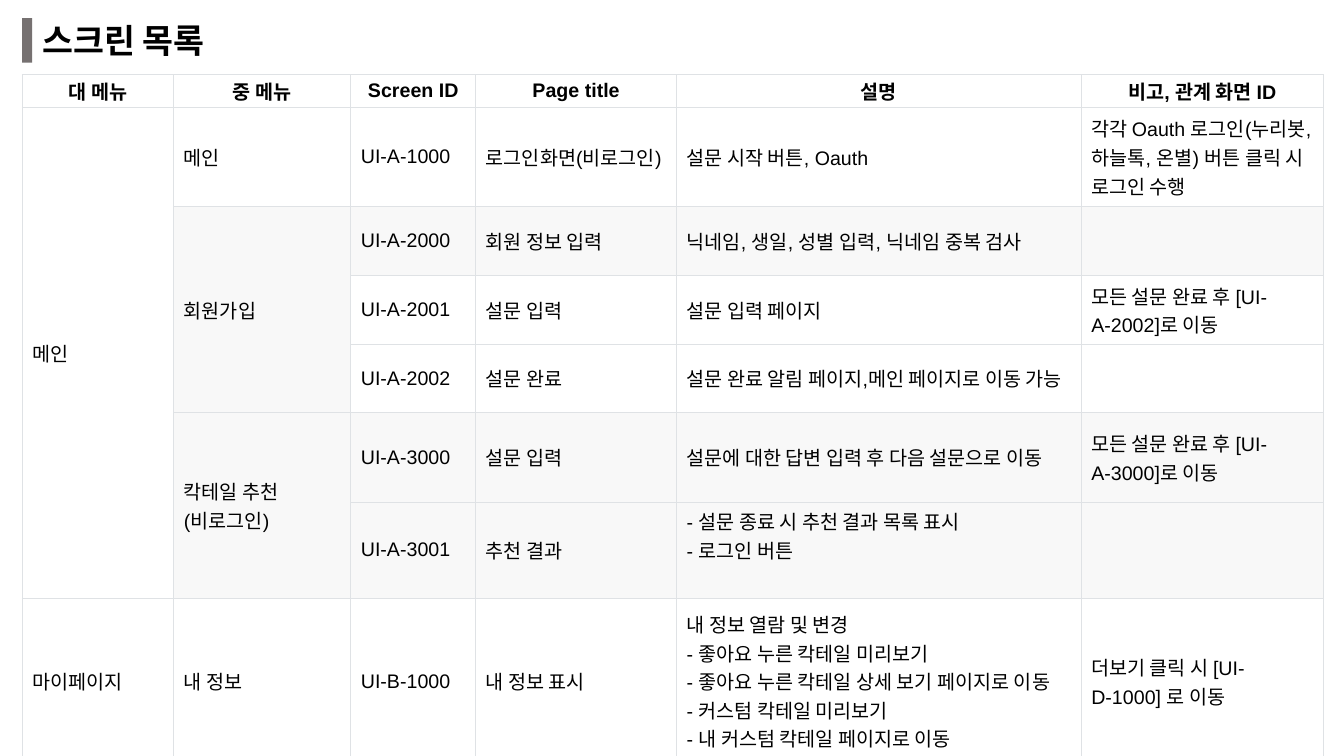
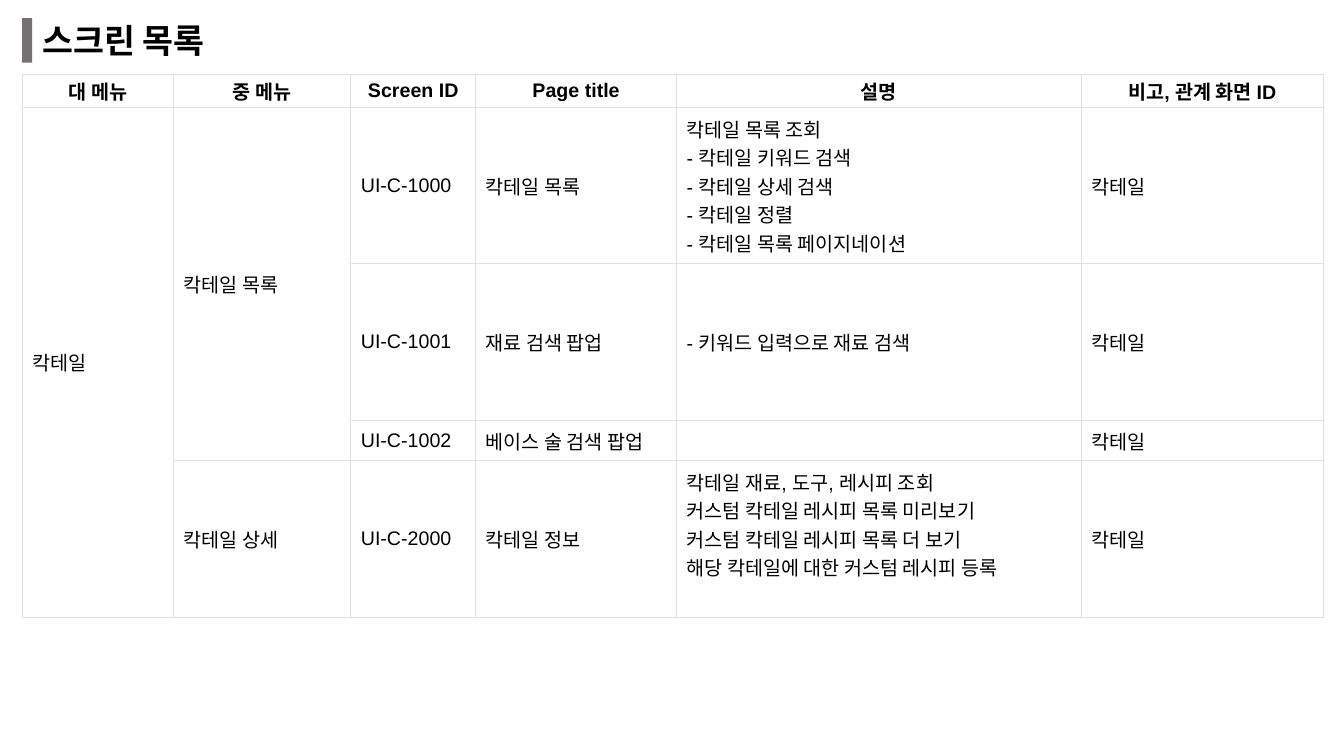
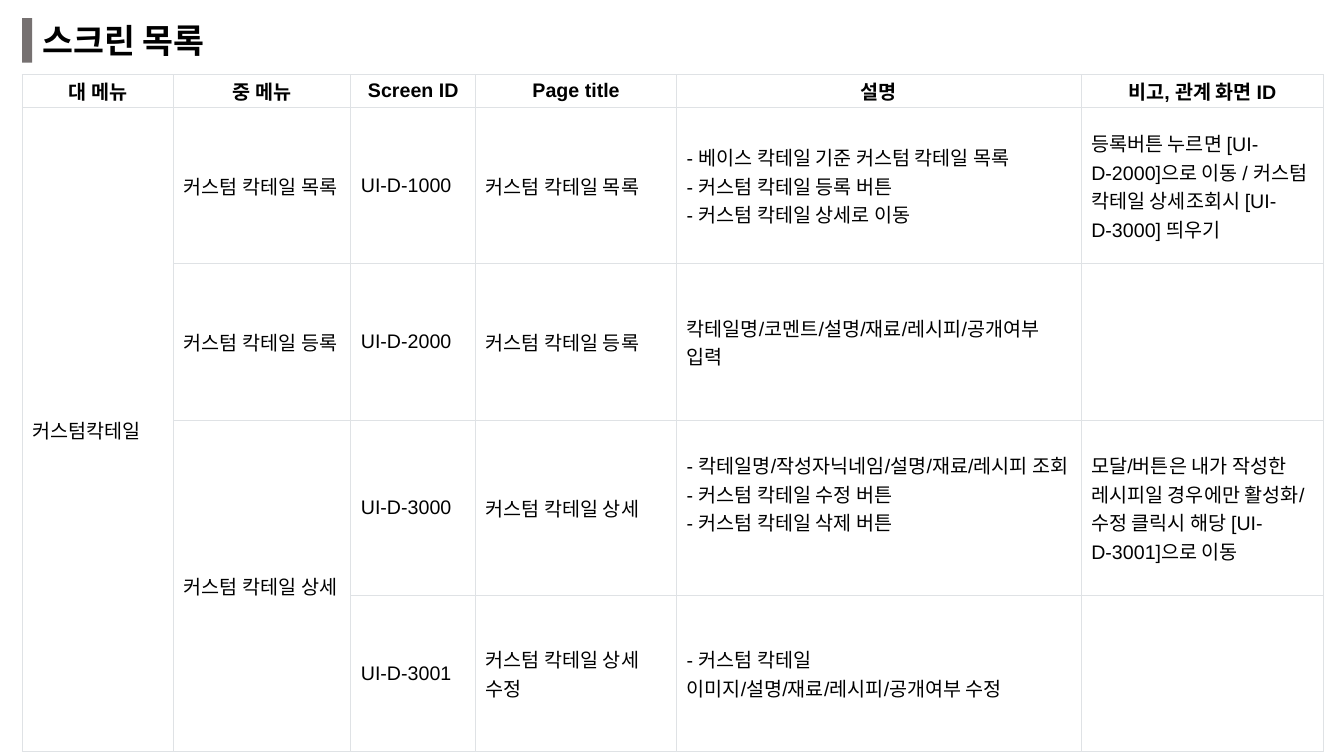
from dataclasses import dataclass
from typing import Optional

from lxml.etree import SubElement
from pptx import Presentation
from pptx.dml.color import RGBColor
from pptx.enum.shapes import MSO_SHAPE as Preset
from pptx.enum.text import MSO_ANCHOR as Anchor, MSO_AUTO_SIZE as AutoSize, PP_ALIGN as Align
from pptx.oxml.ns import qn
from pptx.util import Cm, Pt

FONT = "Arial"
INK, WHITE, SHADE, BORDER, ACCENT = "000000", "FFFFFF", "F8F8F8", "DFE2E5", "767171"
TITLE = "스크린 목록"
HEADINGS = ("대 메뉴", "중 메뉴", "Screen ID", "Page title", "설명", "비고, 관계 화면 ID")
COLUMN_WIDTHS = (3.82, 4.46, 3.15, 5.06, 10.2, 6.1)
LEFT, TABLE_TOP, HEADER_HEIGHT = 0.56, 1.88, 0.83
LINE_HEIGHT = 0.72
DESCRIPTION = HEADINGS.index("설명")


@dataclass(frozen=True)
class Screen:
    """One table row; None continues the cell above."""
    height: float
    cells: tuple[Optional[str], ...]
    shaded: bool = False
    raised: bool = False  # description sits half a line above the middle


MAIN_SCREENS = (
    Screen(2.49, ("메인", "메인", "UI-A-1000", "로그인화면(비로그인)", "설문 시작 버튼, Oauth",
                  "각각 Oauth 로그인(누리봇, 하늘톡, 온별) 버튼 클릭 시 로그인 수행")),
    Screen(1.74, (None, "회원가입", "UI-A-2000", "회원 정보 입력",
                  "닉네임, 생일, 성별 입력, 닉네임 중복 검사", ""), shaded=True),
    Screen(1.73, (None, None, "UI-A-2001", "설문 입력", "설문 입력 페이지",
                  "모든 설문 완료 후 [UI-A-2002]로 이동")),
    Screen(1.73, (None, None, "UI-A-2002", "설문 완료",
                  "설문 완료 알림 페이지,메인 페이지로 이동 가능", "")),
    Screen(2.25, (None, "칵테일 추천(비로그인)", "UI-A-3000", "설문 입력",
                  "설문에 대한 답변 입력 후 다음 설문으로 이동",
                  "모든 설문 완료 후 [UI-A-3000]로 이동"), shaded=True),
    Screen(2.42, (None, None, "UI-A-3001", "추천 결과",
                  "- 설문 종료 시 추천 결과 목록 표시\n- 로그인 버튼", ""), shaded=True, raised=True),
    Screen(4.19, ("마이페이지", "내 정보", "UI-B-1000", "내 정보 표시",
                  "내 정보 열람 및 변경\n- 좋아요 누른 칵테일 미리보기\n"
                  "- 좋아요 누른 칵테일 상세 보기 페이지로 이동\n"
                  "- 커스텀 칵테일 미리보기\n- 내 커스텀 칵테일 페이지로 이동",
                  "더보기 클릭 시 [UI-D-1000] 로 이동")),
)
COCKTAIL_SCREENS = (
    Screen(3.94, ("칵테일", "칵테일 목록", "UI-C-1000", "칵테일 목록",
                  "칵테일 목록 조회\n- 칵테일 키워드 검색\n- 칵테일 상세 검색\n"
                  "- 칵테일 정렬\n- 칵테일 목록 페이지네이션", "칵테일")),
    Screen(3.94, (None, None, "UI-C-1001", "재료 검색 팝업", "- 키워드 입력으로 재료 검색", "칵테일")),
    Screen(0.96, (None, None, "UI-C-1002", "베이스 술 검색 팝업", "", "칵테일")),
    Screen(3.94, (None, "칵테일 상세", "UI-C-2000", "칵테일 정보",
                  "칵테일 재료, 도구, 레시피 조회\n커스텀 칵테일 레시피 목록 미리보기\n"
                  "커스텀 칵테일 레시피 목록 더 보기\n해당 칵테일에 대한 커스텀 레시피 등록",
                  "칵테일"), raised=True),
)
CUSTOM_SCREENS = (
    Screen(3.94, ("커스텀칵테일", "커스텀 칵테일 목록", "UI-D-1000", "커스텀 칵테일 목록",
                  "- 베이스 칵테일 기준 커스텀 칵테일 목록\n- 커스텀 칵테일 등록 버튼\n"
                  "- 커스텀 칵테일 상세로 이동",
                  "등록버튼 누르면 [UI-D-2000]으로 이동 / 커스텀 칵테일 상세조회시 [UI-D-3000] 띄우기")),
    Screen(3.94, (None, "커스텀 칵테일 등록", "UI-D-2000", "커스텀 칵테일 등록",
                  "칵테일명/코멘트/설명/재료/레시피/공개여부 입력", "")),
    Screen(4.41, (None, "커스텀 칵테일 상세", "UI-D-3000", "커스텀 칵테일 상세",
                  "- 칵테일명/작성자닉네임/설명/재료/레시피 조회\n"
                  "- 커스텀 칵테일 수정 버튼\n- 커스텀 칵테일 삭제 버튼",
                  "모달/버튼은 내가 작성한 레시피일 경우에만 활성화/ 수정 클릭시 해당 [UI-D-3001]으로 이동"),
           raised=True),
    Screen(3.94, (None, None, "UI-D-3001", "커스텀 칵테일 상세 수정",
                  "- 커스텀 칵테일 이미지/설명/재료/레시피/공개여부 수정", "")),
)


def paint(fill, color: str) -> None:
    fill.solid()
    fill.fore_color.rgb = RGBColor.from_string(color)


def write(frame, text: str, size: int, bold: bool = False, align=Align.LEFT) -> None:
    """Write one paragraph per line."""
    for index, line in enumerate(text.split("\n")):
        paragraph = frame.add_paragraph() if index else frame.paragraphs[0]
        paragraph.alignment = align
        run = paragraph.add_run()
        run.text = line
        run.font.name, run.font.size, run.font.bold = FONT, Pt(size), bold
        run.font.color.rgb = RGBColor.from_string(INK)


def add_borders(cell) -> None:
    properties = cell._tc.get_or_add_tcPr()
    for index, side in enumerate(("a:lnL", "a:lnR", "a:lnT", "a:lnB")):
        line = properties.makeelement(qn(side), {"w": str(Pt(0.75))})
        solid = SubElement(line, qn("a:solidFill"))
        SubElement(solid, qn("a:srgbClr"), val=BORDER)
        properties.insert(index, line)


def style_cell(cell, fill: str) -> None:
    cell.vertical_anchor = Anchor.MIDDLE
    paint(cell.fill, fill)
    add_borders(cell)


def add_heading(slide) -> None:
    bar = slide.shapes.add_shape(Preset.RECTANGLE, Cm(LEFT), Cm(0.46), Cm(0.25), Cm(1.12))
    bar.shadow.inherit = False
    paint(bar.fill, ACCENT)
    bar.line.fill.background()

    title = slide.shapes.title
    title.left, title.top, title.width, title.height = Cm(0.81), Cm(0.38), Cm(5.46), Cm(1.25)
    frame = title.text_frame
    frame.word_wrap = False
    frame.auto_size = AutoSize.SHAPE_TO_FIT_TEXT
    frame.vertical_anchor = Anchor.TOP
    write(frame, TITLE, 24, bold=True)


def add_screen_table(slide, screens: tuple[Screen, ...]) -> None:
    heights = [HEADER_HEIGHT] + [screen.height for screen in screens]
    table = slide.shapes.add_table(
        len(heights), len(HEADINGS), Cm(LEFT), Cm(TABLE_TOP),
        Cm(sum(COLUMN_WIDTHS)), Cm(sum(heights))).table
    for column, width in zip(table.columns, COLUMN_WIDTHS):
        column.width = Cm(width)
    for row, height in zip(table.rows, heights):
        row.height = Cm(height)

    # Header row
    for column, heading in enumerate(HEADINGS):
        cell = table.cell(0, column)
        cell.margin_left = cell.margin_right = Cm(0.13)
        cell.margin_top = cell.margin_bottom = Cm(0.05)
        style_cell(cell, WHITE)
        write(cell.text_frame, heading, 14, bold=True, align=Align.CENTER)

    # Screen rows
    for row, screen in enumerate(screens, 1):
        for column, text in enumerate(screen.cells):
            cell = table.cell(row, column)
            style_cell(cell, SHADE if screen.shaded and column else WHITE)
            if text:
                write(cell.text_frame, text, 14)
            if screen.raised and column == DESCRIPTION:
                cell.margin_bottom = Cm(0.13 + LINE_HEIGHT)

    # Menu cells that span several screens
    for column in range(len(HEADINGS)):
        first = 1
        for row in range(2, len(heights) + 1):
            if row < len(heights) and screens[row - 1].cells[column] is None:
                continue
            if row - first > 1:
                table.cell(first, column).merge(table.cell(row - 1, column))
            first = row


def main() -> None:
    deck = Presentation()
    deck.slide_width, deck.slide_height = Cm(33.87), Cm(19.05)
    title_only = deck.slide_layouts[5]
    for screens in (MAIN_SCREENS, COCKTAIL_SCREENS, CUSTOM_SCREENS):
        slide = deck.slides.add_slide(title_only)
        add_screen_table(slide, screens)
        add_heading(slide)
    deck.save("out.pptx")


if __name__ == "__main__":
    main()
